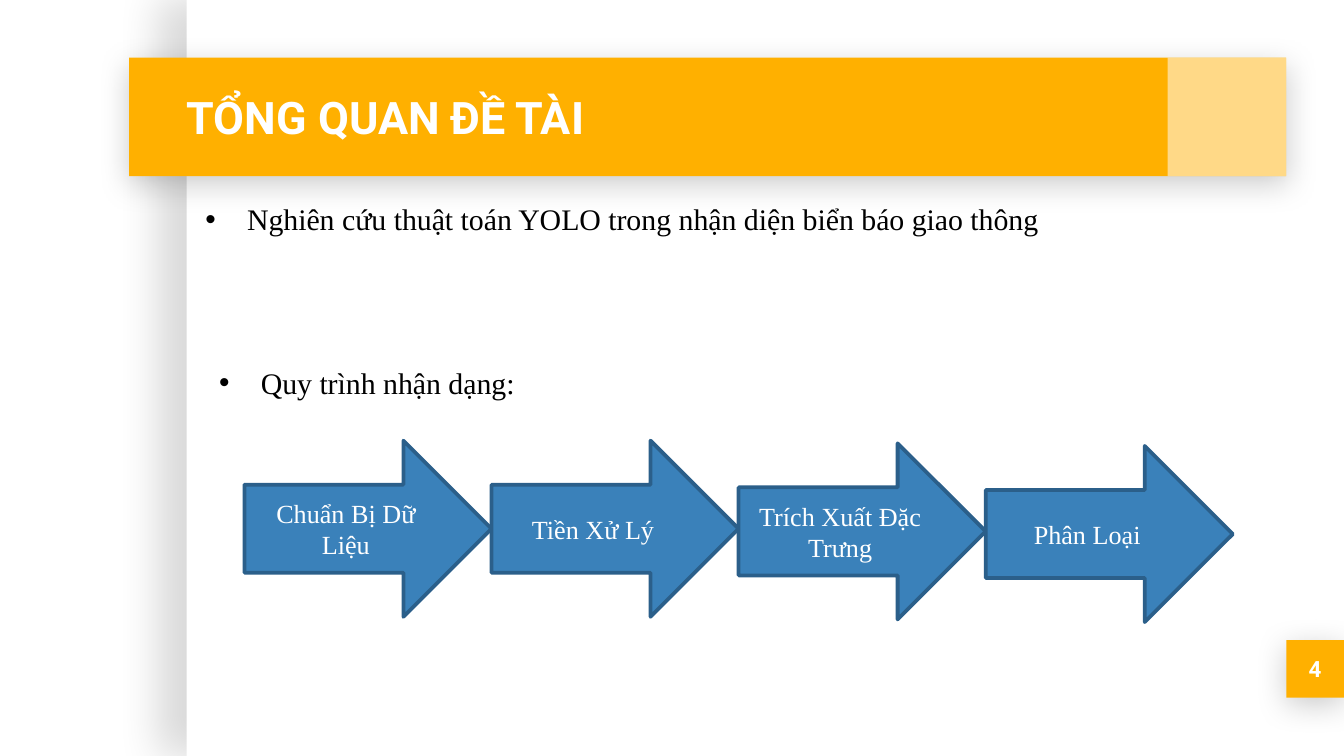
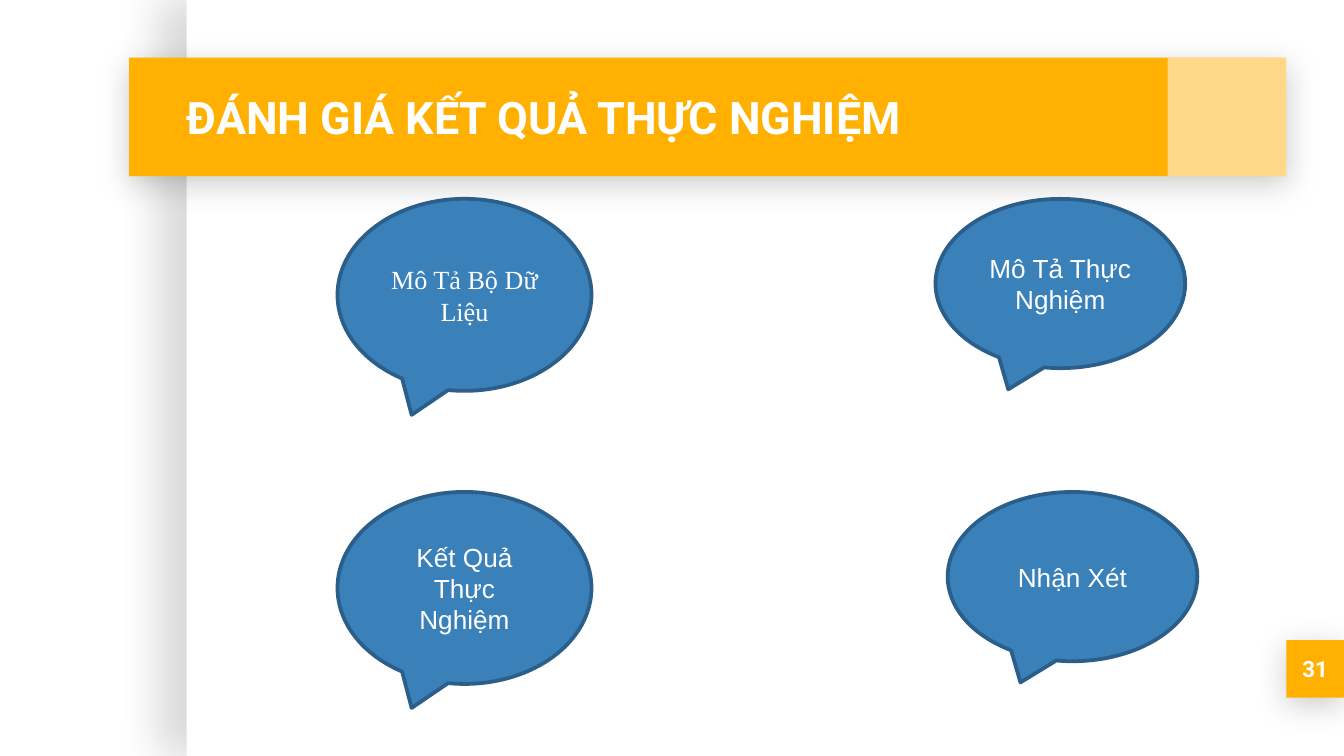
from pptx import Presentation
from pptx import util as u
from pptx.dml.color import RGBColor
from pptx.enum import shapes, text
from pptx.oxml.xmlchemy import OxmlElement

WHITE = RGBColor(0xFF, 0xFF, 0xFF)
BLACK = RGBColor(0, 0, 0)
AMBER = RGBColor(0xFF, 0xB0, 0x00)
BLUE = RGBColor(0x3A, 0x81, 0xBA)
NAVY = RGBColor(0x2B, 0x5F, 0x8A)
HEADING, SERIF, SANS = "Roboto", "Times New Roman", "Arial"
SHAPE = shapes.MSO_SHAPE
ALIGN = text.PP_ALIGN
MIDDLE = text.MSO_ANCHOR.MIDDLE

BAND_TOP, BAND_H = 1.09, 2.24
BADGE = (24.31, 12.1, 1.09, 1.09)
SIDE_SHADOW = dict(alpha=15, blur=22.5, dist=15, angle=180)
DROP_SHADOW = dict(alpha=20, blur=16.9, dist=3.8, angle=90)


def cm(box):
    """Turn a box in centimetres into lengths."""
    return [u.Cm(v) for v in box]


def add_element(parent, tag, **attrs):
    """Append an XML element with attributes and return it."""
    el = OxmlElement(tag)
    for name, value in attrs.items():
        el.set(name, str(value))
    parent.append(el)
    return el


def add_shadow(sp, alpha, blur, dist, angle):
    """Give a shape a soft black outer shadow."""
    effects = sp._element.spPr.find(
        "{http://schemas.openxmlformats.org/drawingml/2006/main}effectLst")
    shadow = add_element(effects, "a:outerShdw", blurRad=int(u.Pt(blur)),
                         dist=int(u.Pt(dist)), dir=angle * 60000,
                         algn="bl", rotWithShape=0)
    color = add_element(shadow, "a:srgbClr", val=BLACK)
    add_element(color, "a:alpha", val=alpha * 1000)


def add_shape(s, kind, box, fill, line=None, alpha=None, shadow=None):
    """Draw a preset shape with a solid fill."""
    sp = s.shapes.add_shape(kind, *cm(box))
    sp.fill.solid()
    sp.fill.fore_color.rgb = fill
    if alpha is not None:
        color = sp._element.spPr.xpath("a:solidFill/a:srgbClr")[0]
        add_element(color, "a:alpha", val=alpha * 1000)
    if line is None:
        sp.line.fill.background()
    else:
        sp.line.color.rgb = line
        sp.line.width = u.Pt(2)
    sp.shadow.inherit = False
    if shadow:
        add_shadow(sp, **shadow)
    return sp


def write(sp, content, size=14, font=SERIF, color=WHITE, bold=False,
          align=ALIGN.LEFT, anchor=MIDDLE, inset=None):
    """Put one formatted paragraph in a shape and return the paragraph."""
    tf = sp.text_frame
    tf.word_wrap = True
    tf.vertical_anchor = anchor
    if inset is not None:
        tf.margin_left = tf.margin_right = u.Cm(inset)
        tf.margin_top = tf.margin_bottom = u.Cm(inset)
    p = tf.paragraphs[0]
    p.alignment = align
    r = p.add_run()
    r.text = content
    r.font.size = u.Pt(size)
    r.font.name = font
    r.font.bold = bold
    r.font.color.rgb = color
    return p


def add_bullet(s, content, box, indent, **fmt):
    """Add a text box holding one bulleted line."""
    sp = s.shapes.add_textbox(*cm(box))
    p = write(sp, content, size=16, color=BLACK, anchor=text.MSO_ANCHOR.TOP, **fmt)
    sp.text_frame.auto_size = text.MSO_AUTO_SIZE.SHAPE_TO_FIT_TEXT
    pPr = p._p.get_or_add_pPr()
    pPr.set("marL", str(int(u.Cm(indent))))
    pPr.set("indent", str(int(u.Cm(-0.79))))
    add_element(add_element(pPr, "a:buClr"), "a:srgbClr", val=BLACK)
    add_element(pPr, "a:buFont", typeface=SANS)
    add_element(pPr, "a:buChar", char="•")
    return p


def add_label_shape(s, kind, box, content, font=SERIF):
    """Draw a blue outlined shape with a centred label."""
    sp = add_shape(s, kind, box, BLUE, line=NAVY)
    write(sp, content, font=font, align=ALIGN.CENTER)


def add_base(prs, title, number):
    """Add a slide with side panel, title band and page badge."""
    s = prs.slides.add_slide(prs.slide_layouts[6])
    s.background.fill.solid()
    s.background.fill.fore_color.rgb = WHITE
    add_shape(s, SHAPE.RECTANGLE, (3.53, 0, 21.87, 14.29), WHITE, shadow=SIDE_SHADOW)
    add_shape(s, SHAPE.RECTANGLE, BADGE, AMBER, shadow=DROP_SHADOW)
    add_shape(s, SHAPE.RECTANGLE, (2.44, BAND_TOP, 21.87, BAND_H), AMBER,
              shadow=DROP_SHADOW)
    add_shape(s, SHAPE.RECTANGLE, (22.07, BAND_TOP, BAND_H, BAND_H), WHITE, alpha=53)
    heading = s.shapes.add_textbox(*cm((3.28, BAND_TOP, 18.72, BAND_H)))
    write(heading, title, size=24, font=HEADING, bold=True, inset=0.25)
    page = s.shapes.add_textbox(*cm(BADGE))
    write(page, number, size=12, font=HEADING, bold=True, align=ALIGN.CENTER,
          inset=0.25)
    return s


def build_overview(prs):
    """Build the topic overview with its process arrows."""
    s = add_base(prs, "TỔNG QUAN ĐỀ TÀI", "4")
    p = add_bullet(s, "Nghiên cứu thuật toán YOLO trong nhận diện biển báo giao thông",
                   (2.9, 3.63, 21.41, 0.94), 1.52, align=ALIGN.JUSTIFY)
    p.line_spacing = 1.07
    p.space_after = u.Pt(8)
    steps = [("Chuẩn Bị Dữ Liệu", 8.33), ("Tiền Xử Lý", 8.33),
             ("Trích Xuất Đặc Trưng", 8.38), ("Phân Loại", 8.43)]
    width = 4.67
    for i, (label, top) in enumerate(steps):
        add_label_shape(s, SHAPE.RIGHT_ARROW, (4.62 + i * width, top, width, 3.33), label)
    add_bullet(s, "Quy trình nhận dạng:", (3.89, 6.76, 8.74, 0.94), 0.79)


def build_evaluation(prs):
    """Build the evaluation slide with its four callouts."""
    s = add_base(prs, "ĐÁNH GIÁ KẾT QUẢ THỰC NGHIỆM", "31")
    left_size, right_size = (4.8, 3.63), (4.72, 3.2)
    top, bottom = 3.76, 9.3
    callouts = [("Mô Tả Bộ Dữ Liệu", 6.38, top, left_size, SERIF),
                ("Mô Tả Thực Nghiệm", 17.68, top, right_size, SANS),
                ("Kết Quả Thực Nghiệm", 6.38, bottom, left_size, SANS),
                ("Nhận Xét", 17.91, bottom, right_size, SANS)]
    for label, x, y, size, font in callouts:
        add_label_shape(s, SHAPE.OVAL_CALLOUT, (x, y, *size), label, font)


def main():
    """Build and save the presentation."""
    prs = Presentation()
    prs.slide_width, prs.slide_height = u.Cm(25.4), u.Cm(14.29)
    build_overview(prs)
    build_evaluation(prs)
    prs.save("out.pptx")


if __name__ == "__main__":
    main()
